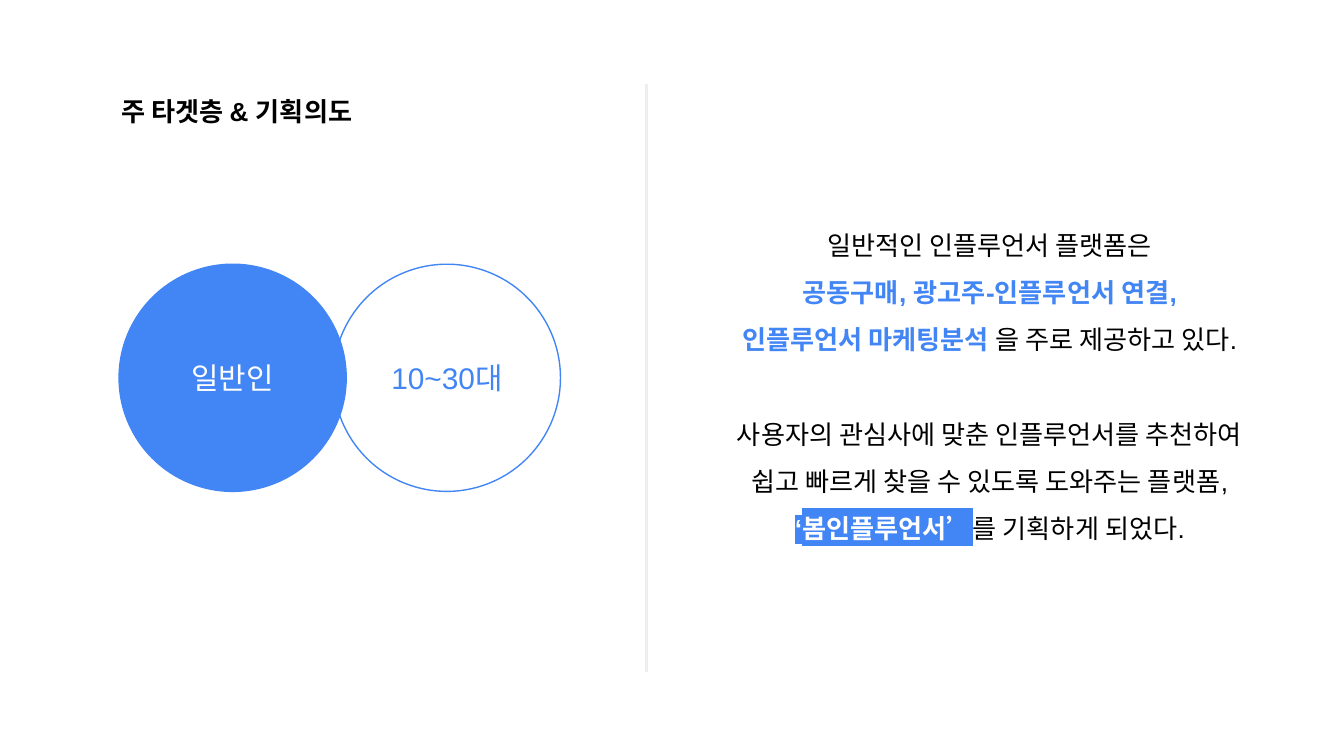
from lxml.etree import SubElement
from pptx import Presentation
from pptx.dml.color import RGBColor
from pptx.enum.shapes import MSO_CONNECTOR as CONN, MSO_SHAPE as SHAPE
from pptx.enum.text import MSO_ANCHOR as ANCHOR, MSO_AUTO_SIZE as FIT, PP_ALIGN as ALIGN
from pptx.oxml.ns import qn
from pptx.util import Inches, Pt

COLORS = {"text": "000000", "accent": "4285F4", "paper": "FFFFFF", "rule": "EEEEEE"}
COLUMNS = 100


class Deck:
    font = "Arial"
    body_size = 14
    circle_size = 16

    def __init__(self, prs):
        self.cell = prs.slide_width / COLUMNS
        self.slide = prs.slides.add_slide(prs.slide_layouts[5])

    def grid(self, *cells):
        return [round(n * self.cell) for n in cells]

    def color(self, name):
        return RGBColor.from_string(COLORS[name])

    def frame(self, tf, anchor, fit=FIT.NONE):
        tf.word_wrap = True
        tf.auto_size = fit
        tf.vertical_anchor = anchor
        tf.margin_left = tf.margin_right = tf.margin_top = tf.margin_bottom = Inches(0.1)

    def style(self, p, size, color, align, bold=False):
        p.alignment = align
        p.font.name = self.font
        p.font.size = Pt(size)
        p.font.bold = bold
        p.font.color.rgb = self.color(color)

    def title(self, text, *box):
        sp = self.slide.shapes.title
        sp.left, sp.top, sp.width, sp.height = self.grid(*box)
        self.frame(sp.text_frame, ANCHOR.TOP)
        p = sp.text_frame.paragraphs[0]
        p.add_run().text = text
        self.style(p, self.body_size, "text", ALIGN.LEFT, bold=True)

    def divider(self, *ends):
        line = self.slide.shapes.add_connector(CONN.STRAIGHT, *self.grid(*ends))
        line.line.color.rgb = self.color("rule")
        line.line.width = Pt(1.5)
        SubElement(line.element.spPr, qn("a:effectLst"))

    def circle(self, text, left, top, size, filled):
        sp = self.slide.shapes.add_shape(SHAPE.OVAL, *self.grid(left, top, size, size))
        sp.shadow.inherit = False
        if filled:
            sp.fill.solid()
            sp.fill.fore_color.rgb = self.color("accent")
        else:
            sp.fill.background()
        sp.line.color.rgb = self.color("accent")
        sp.line.width = Pt(0.75)
        self.frame(sp.text_frame, ANCHOR.MIDDLE)
        p = sp.text_frame.paragraphs[0]
        p.add_run().text = text
        self.style(p, self.circle_size, "paper" if filled else "accent", ALIGN.CENTER)

    def run(self, p, text, look):
        r = p.add_run()
        r.text = text
        if look == "plain":
            return
        r.font.bold = True
        r.font.color.rgb = self.color("accent" if look == "strong" else "paper")
        if look == "marked":
            highlight = SubElement(r.font._element, qn("a:highlight"))
            SubElement(highlight, qn("a:srgbClr"), val=COLORS["accent"])

    def body(self, paragraphs, *box):
        sp = self.slide.shapes.add_textbox(*self.grid(*box))
        tf = sp.text_frame
        self.frame(tf, ANCHOR.TOP, FIT.SHAPE_TO_FIT_TEXT)
        for i, (gap, runs) in enumerate(paragraphs):
            p = tf.paragraphs[0] if i == 0 else tf.add_paragraph()
            p.line_spacing = 1.5
            p.space_before = Pt(gap)
            self.style(p, self.body_size, "text", ALIGN.CENTER)
            for text, look in runs:
                self.run(p, text, look)


def main():
    prs = Presentation()
    prs.slide_width = Inches(10)
    prs.slide_height = prs.slide_width * 9 // 16
    deck = Deck(prs)

    deck.title("주 타겟층 & 기획의도", 8.03, 6.1, 22.1, 4.4)
    deck.divider(48.1, 6.25, 48.1, 50)
    for i, (text, filled) in enumerate([("일반인", True), ("10~30대", False)]):
        deck.circle(text, 8.86 + 15.94 * i, 19.66, 16.9, filled)
    deck.body([
        (0, [("일반적인 인플루언서 플랫폼은", "plain")]),
        (0, [("공동구매, 광고주-인플루언서 연결,", "strong")]),
        (0, [("인플루언서 마케팅분석 ", "strong"), ("을 주로 제공하고 있다.", "plain")]),
        (25.5, [("사용자의 관심사에 맞춘 인플루언서를 추천하여 쉽고 빠르게 찾을 수 있도록 도와주는 플랫폼, ", "plain"),
                ("‘봄인플루언서’", "marked"), ("를 기획하게 되었다.", "plain")]),
    ], 52.5, 14.9, 42.3, 25.6)

    prs.save("out.pptx")


if __name__ == "__main__":
    main()
